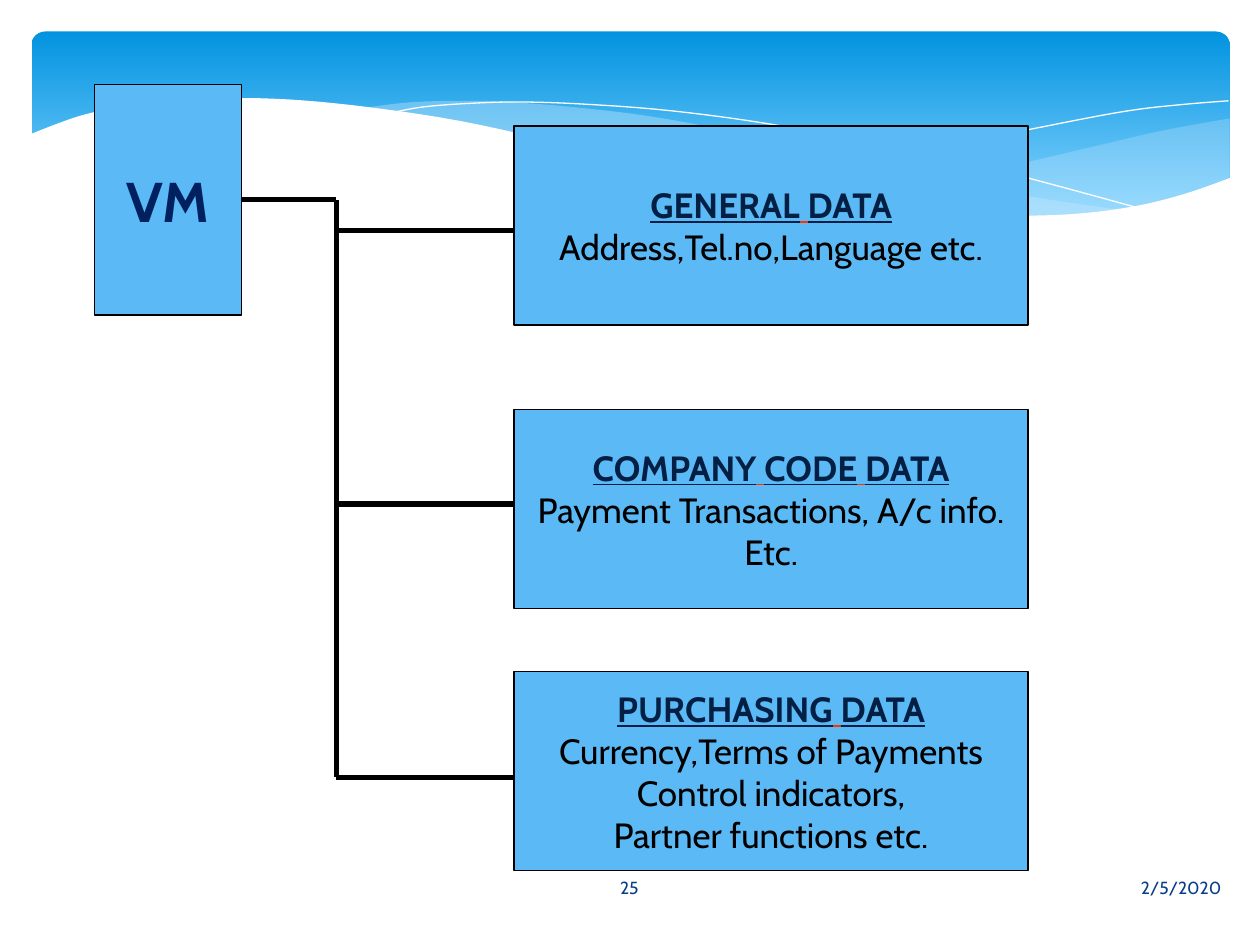
from lxml import etree
from pptx import Presentation
from pptx import util as u
from pptx.dml.color import RGBColor
from pptx.enum import shapes, text
from pptx.oxml.ns import qn

FONT = "Cabin"
COLORS = {
    "band_top": "0293E0", "band_bottom": "83D3FE", "wave": "C6E7FC", "white": "FFFFFF",
    "box": "5BBAF6", "line": "000000", "body": "000000", "heading": "041F44",
    "heading_gap": "FF3300", "root": "002060", "footer": "073E87",
}

# Wave curves in inches from the corner of the banner.
RIGHT_WAVE = [
    [(9.51, 0.69), (8.96, 0.79), (8.36, 0.93), (7.54, 1.12), (6.81, 1.27), (6.36, 1.35)],
    [(6.36, 1.35), (6.94, 1.42), (7.44, 1.46), (7.89, 1.47), (8.38, 1.45), (8.8, 1.38),
     (9.17, 1.29), (9.51, 1.16)],
]
MIDDLE_WAVE = [
    [(8.68, 1.42), (8.12, 1.34), (7.5, 1.24), (6.81, 1.09), (6.04, 0.91), (5.44, 0.77),
     (4.89, 0.67), (4.4, 0.61), (3.95, 0.57), (3.55, 0.55), (3.03, 0.56), (2.61, 0.61)],
    [(2.61, 0.61), (2.98, 0.65), (3.58, 0.76), (4.24, 0.91), (5.05, 1.1), (5.76, 1.25),
     (6.4, 1.36), (6.97, 1.43), (7.48, 1.47), (7.93, 1.48), (8.32, 1.46), (8.68, 1.42)],
]
FALLING_LINE = [
    [(2.84, 0.65), (3.1, 0.6), (3.49, 0.57), (3.91, 0.56), (4.44, 0.58), (5.08, 0.63),
     (5.83, 0.73), (6.7, 0.89), (7.7, 1.11), (8.82, 1.41)],
]
RISING_LINE = [
    [(5.88, 1.26), (6.47, 1.1), (7.23, 0.92), (8.11, 0.74), (8.7, 0.63), (9.13, 0.58),
     (9.5, 0.55)],
]
WHITE_WAVE = [
    [(9.52, 1.16), (9.15, 1.29), (8.74, 1.39), (8.25, 1.45), (7.68, 1.46), (7.01, 1.42),
     (6.23, 1.31), (5.3, 1.14), (4.22, 0.89), (3.4, 0.71), (2.67, 0.6), (2.05, 0.54),
     (1.52, 0.53), (1.07, 0.56), (0.7, 0.6), (0.42, 0.66), (0.21, 0.73), (-0.02, 0.82)],
    [(-0.02, 1.99), (9.52, 1.99)],
]

# Top of the box, height of its branch line, heading, body lines.
BRANCHES = [
    (1, 1.83, "GENERAL DATA", ["Address,Tel.no,Language etc."]),
    (3.25, 4, "COMPANY CODE DATA", ["Payment Transactions, A/c info.", "Etc."]),
    (5.33, 6.17, "PURCHASING DATA",
     ["Currency,Terms of Payments", "Control indicators,", "Partner functions etc."]),
]


def rgb(name):
    return RGBColor.from_string(COLORS[name])


def inches(*lengths):
    return [u.Inches(length) for length in lengths]


def add_run(paragraph, wording, color, size=20, bold=False, underline=False):
    run = paragraph.add_run()
    run.text = wording
    font = run.font
    font.name, font.size, font.bold, font.underline = FONT, u.Pt(size), bold, underline
    font.color.rgb = rgb(color)


def smooth(points, steps=5):
    """Return points along a Catmull-Rom curve through the given points."""
    if len(points) < 3:
        return points
    padded = [points[0], *points, points[-1]]
    curve = [points[0]]
    for a, b, c, d in zip(padded, padded[1:], padded[2:], padded[3:]):
        for step in range(1, steps + 1):
            t = step / steps
            curve.append(tuple(
                q + t * (r - p + t * (2 * p - 5 * q + 4 * r - s + t * (3 * q - p - 3 * r + s))) / 2
                for p, q, r, s in zip(a, b, c, d)))
    return curve


def add_wave(slide, left, top, curves, fill=None, opacity=100):
    """Draw a filled wave, or a fine white line when there is no fill."""
    points = [(u.Inches(left + x), u.Inches(top + y))
              for curve in curves for x, y in smooth(curve)]
    builder = slide.shapes.build_freeform(*points[0])
    builder.add_line_segments(points[1:], close=fill is not None)
    wave = builder.convert_to_shape()
    wave.shadow.inherit = False
    if fill is None:
        wave.fill.background()
        wave.line.color.rgb = rgb("white")
        wave.line.width = u.Pt(0)
        return
    wave.line.fill.background()
    wave.fill.solid()
    wave.fill.fore_color.rgb = rgb(fill)
    if opacity < 100:
        color = wave.fill._xPr.find(qn("a:solidFill"))[0]
        etree.SubElement(color, qn("a:alpha"), val=str(opacity * 1000))


def add_banner(slide, left, top, width, height):
    band = slide.shapes.add_shape(shapes.MSO_SHAPE.ROUNDED_RECTANGLE,
                                  *inches(left, top, width, height))
    band.adjustments[0] = 0.07
    band.shadow.inherit = False
    band.line.fill.background()
    band.fill.gradient()
    band.fill.gradient_angle = 270
    for stop, (position, color) in zip(band.fill.gradient_stops,
                                       [(0, "band_top"), (0.9, "band_bottom")]):
        stop.position = position
        stop.color.rgb = rgb(color)
    add_wave(slide, left, top, RIGHT_WAVE, "wave", 29)
    add_wave(slide, left, top, MIDDLE_WAVE, "wave", 40)
    add_wave(slide, left, top, FALLING_LINE)
    add_wave(slide, left, top, RISING_LINE)
    add_wave(slide, left, top, WHITE_WAVE, "white")


def add_footer_text(slide, left, top, width, height, wording, alignment):
    box = slide.shapes.add_textbox(*inches(left, top, width, height))
    frame = box.text_frame
    frame.word_wrap = True
    frame.vertical_anchor = text.MSO_ANCHOR.MIDDLE
    paragraph = frame.paragraphs[0]
    paragraph.alignment = alignment
    add_run(paragraph, wording, "footer", size=10)


def add_box(slide, left, top, width, height):
    box = slide.shapes.add_shape(shapes.MSO_SHAPE.RECTANGLE, *inches(left, top, width, height))
    box.shadow.inherit = False
    box.fill.solid()
    box.fill.fore_color.rgb = rgb("box")
    box.line.color.rgb = rgb("line")
    box.line.width = u.Pt(0.75)
    box.text_frame.word_wrap = False
    box.text_frame.vertical_anchor = text.MSO_ANCHOR.MIDDLE
    box.text_frame.paragraphs[0].alignment = text.PP_ALIGN.CENTER
    return box


def add_data_box(slide, left, top, width, height, heading, lines):
    frame = add_box(slide, left, top, width, height).text_frame
    for index, word in enumerate(heading.split()):
        if index:
            add_run(frame.paragraphs[0], " ", "heading_gap", bold=True, underline=True)
        add_run(frame.paragraphs[0], word, "heading", bold=True, underline=True)
    for line in lines:
        paragraph = frame.add_paragraph()
        paragraph.alignment = text.PP_ALIGN.CENTER
        add_run(paragraph, line, "body")


def add_line(slide, x1, y1, x2, y2):
    line = slide.shapes.add_connector(shapes.MSO_CONNECTOR.STRAIGHT, *inches(x1, y1, x2, y2))
    line.line.color.rgb = rgb("line")
    line.line.width = u.Pt(3)
    etree.SubElement(line._element.spPr, qn("a:effectLst"))
    return line


def add_tree(slide, left, top):
    """Draw the root box, the trunk and one branch for each kind of data."""
    root_width, root_height = 1.17, 1.83
    trunk_x, box_x = left + 1.92, left + 3.33
    root = add_box(slide, left, top, root_width, root_height)
    add_run(root.text_frame.paragraphs[0], "VM", "root", size=32, bold=True)
    root_middle = top + root_height / 2
    stem = add_line(slide, left + root_width, root_middle, trunk_x, root_middle)
    stem.begin_connect(root, 3)
    add_line(slide, trunk_x, root_middle, trunk_x, BRANCHES[-1][1])
    for box_top, line_y, heading, lines in BRANCHES:
        add_data_box(slide, box_x, box_top, 4.08, 1.58, heading, lines)
        add_line(slide, trunk_x, line_y, box_x, line_y)


def main():
    presentation = Presentation()
    presentation.slide_width, presentation.slide_height = inches(10, 7.5)
    slide = presentation.slides.add_slide(presentation.slide_layouts[6])
    add_banner(slide, 0.25, 0.25, 9.51, 1.56)
    add_footer_text(slide, 5.65, 6.84, 4.14, 0.4, "2/5/2020", text.PP_ALIGN.RIGHT)
    add_footer_text(slide, 4.36, 6.84, 1.27, 0.4, "25", text.PP_ALIGN.CENTER)
    add_tree(slide, 0.75, 0.67)
    presentation.save("out.pptx")


if __name__ == "__main__":
    main()
